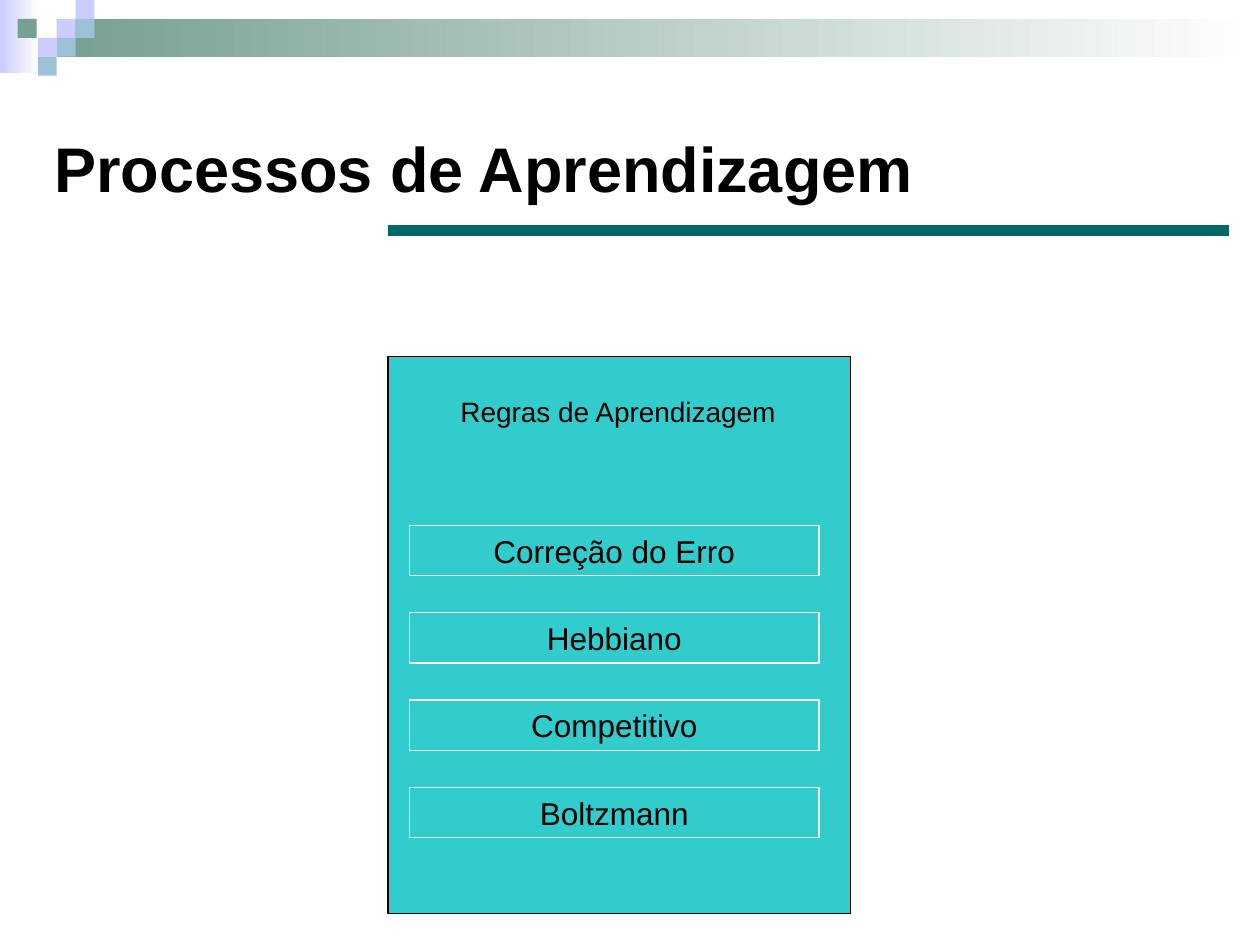
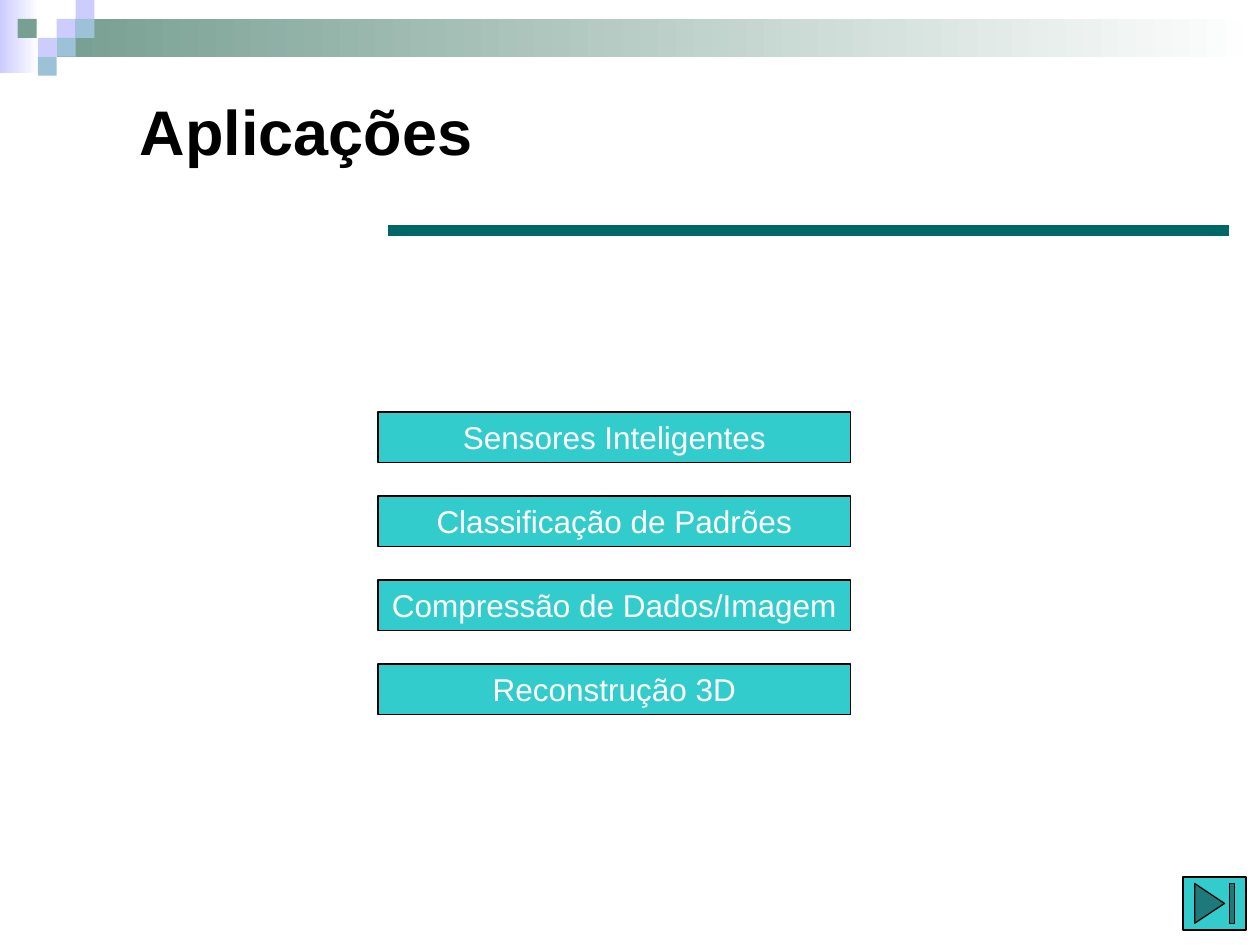
from lxml import etree
from pptx import Presentation
from pptx import util as u
from pptx.dml import color
from pptx.enum import shapes, text
from pptx.oxml import ns

FONT = "Arial"
BLACK, WHITE = "000000", "FFFFFF"
TURQUOISE, TEAL = "33CCCC", "006666"
LILAC, SKY, SAGE = "CCCCFF", "9DC2D7", "779F92"
TILE = 0.15
MOSAIC = [
    (0.45, 0.15, LILAC), (0.6, 0, LILAC), (0.6, 0.15, SKY), (0.3, 0.3, LILAC),
    (0.14, 0.15, SAGE), (0.45, 0.3, SKY), (0.3, 0.45, SKY),
]
FRAME_FORMAT = {
    "word_wrap": True,
    "margin_left": u.Inches(0.1),
    "margin_right": u.Inches(0.1),
    "margin_top": u.Inches(0.05),
    "margin_bottom": u.Inches(0.05),
}
LABEL_FRAME = {
    **FRAME_FORMAT,
    "vertical_anchor": text.MSO_ANCHOR.TOP,
    "auto_size": text.MSO_AUTO_SIZE.SHAPE_TO_FIT_TEXT,
}
TITLE_FRAME = {
    **FRAME_FORMAT,
    "vertical_anchor": text.MSO_ANCHOR.MIDDLE,
    "auto_size": text.MSO_AUTO_SIZE.NONE,
}


def rgb(value):
    return color.RGBColor.from_string(value)


def apply_format(target, values):
    for key, value in values.items():
        setattr(target, key, value)


def inches(*lengths):
    return [u.Inches(length) for length in lengths]


def write(frame, words, size, ink, align, frame_format, bold=False):
    apply_format(frame, frame_format)
    paragraph = frame.paragraphs[0]
    paragraph.alignment = align
    run = paragraph.add_run()
    run.text = words
    apply_format(run.font, {"name": FONT, "size": u.Pt(size), "bold": bold})
    run.font.color.rgb = rgb(ink)


def add_block(slide, box, fill=None, line=None, preset=shapes.MSO_SHAPE.RECTANGLE):
    block = slide.shapes.add_shape(preset, *inches(*box))
    block.shadow.inherit = False
    if fill:
        block.fill.solid()
        block.fill.fore_color.rgb = rgb(fill)
    else:
        block.fill.background()
    if line:
        block.line.color.rgb = rgb(line)
        block.line.width = u.Pt(0.75)
    else:
        block.line.fill.background()
    return block


def add_fade(slide, box, start):
    fade = add_block(slide, box)
    fade.fill.gradient()
    fade.fill.gradient_angle = 0
    for stop, shade in zip(fade.fill.gradient_stops, (start, WHITE)):
        stop.color.rgb = rgb(shade)


def decorate_layout(layout, slide):
    for placeholder in list(layout.placeholders):
        if placeholder.placeholder_format.type != shapes.PP_PLACEHOLDER.TITLE:
            layout.shapes.element.remove(placeholder.element)
    add_fade(slide, (0, 0, 0.31, 0.58), LILAC)
    add_fade(slide, (0.45, 0.15, 9.55, 0.3), SAGE)
    for left, top, shade in MOSAIC:
        add_block(slide, (left, top, TILE, TILE), shade)
    for decoration in list(slide.shapes):
        if not decoration.is_placeholder:
            layout.shapes.element.append(decoration.element)


def add_heading(slide, words, box, indent=0.1):
    title = slide.shapes.title
    apply_format(title, dict(zip(("left", "top", "width", "height"), inches(*box))))
    frame_format = {**TITLE_FRAME, "margin_left": u.Inches(indent)}
    write(title.text_frame, words, 36, BLACK, text.PP_ALIGN.LEFT, frame_format, True)
    rule = slide.shapes.add_connector(
        shapes.MSO_CONNECTOR.STRAIGHT, *inches(3.08, 1.83, 9.75, 1.83))
    rule.line.color.rgb = rgb(TEAL)
    rule.line.width = u.Pt(6)
    etree.SubElement(rule.element.spPr, ns.qn("a:effectLst"))


def add_label(slide, words, box, size, ink, fill=None, line=None):
    label = add_block(slide, box, fill, line)
    write(label.text_frame, words, size, ink, text.PP_ALIGN.CENTER, LABEL_FRAME)


def add_stack(slide, names, left, width, first, last, ink, fill, line):
    step = (last - first) / (len(names) - 1)
    for row, name in enumerate(names):
        box = (left, first + row * step, width, 0.4)
        add_label(slide, name, box, 18, ink, fill, line)


def build_learning(slide):
    add_heading(slide, "Processos de Aprendizagem", (0.33, 0.83, 9, 1))
    add_block(slide, (3.08, 2.83, 3.67, 4.42), TURQUOISE, BLACK)
    add_label(slide, "Regras de Aprendizagem", (3.28, 3.08, 3.25, 0.37), 16, BLACK)
    rules = ["Correção do Erro", "Hebbiano", "Competitivo", "Boltzmann"]
    add_stack(slide, rules, 3.25, 3.25, 4.17, 6.25, BLACK, None, WHITE)


def build_applications(slide):
    add_heading(slide, "Aplicações", (0.67, 0.37, 8.58, 1.33), indent=0.44)
    applications = [
        "Sensores Inteligentes", "Classificação de Padrões",
        "Compressão de Dados/Imagem", "Reconstrução 3D",
    ]
    add_stack(slide, applications, 3, 3.75, 3.27, 5.27, WHITE, TURQUOISE, BLACK)
    add_block(slide, (9.39, 6.96, 0.5, 0.42), TURQUOISE, BLACK,
              shapes.MSO_SHAPE.ACTION_BUTTON_END)


def main():
    deck = Presentation()
    deck.slide_width, deck.slide_height = inches(10, 7.5)
    layout = deck.slide_layouts.get_by_name("Title Only")
    learning = deck.slides.add_slide(layout)
    decorate_layout(layout, learning)
    build_learning(learning)
    build_applications(deck.slides.add_slide(layout))
    deck.save("out.pptx")


if __name__ == "__main__":
    main()
